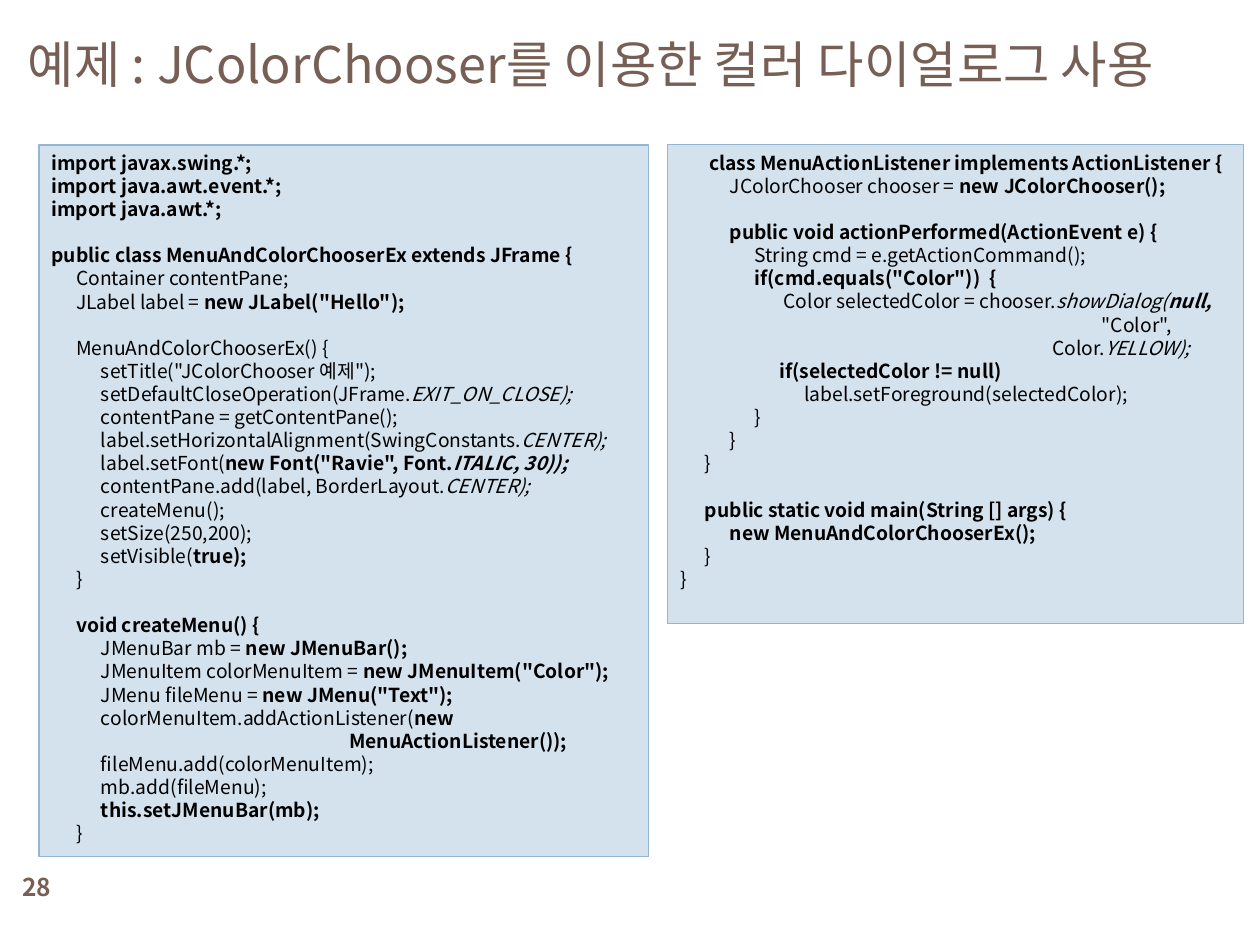
"""Build a slide with a two-panel Java colour chooser example."""
from lxml.etree import SubElement
from pptx import Presentation
from pptx.dml.color import RGBColor
from pptx.enum.shapes import MSO_SHAPE
from pptx.enum.text import MSO_ANCHOR, PP_ALIGN
from pptx.oxml.ns import qn
from pptx.util import Pt

FONT = "Noto Sans CJK KR"
HUES = {"title": "775F55", "code": "000000", "panel": "D4E2ED", "edge": "94B6D2"}
TAB = Pt(14.17)
BOLD, SLANT = "`", "~"

LEFT = [
    (0, "`import javax.swing.*;"),
    (0, "`import java.awt.event.*;"),
    (0, "`import java.awt.*;"),
    (0, ""),
    (0, "`public class MenuAndColorChooserEx extends JFrame {"),
    (1, "Container contentPane;"),
    (1, 'JLabel label = `new JLabel("Hello");'),
    (0, ""),
    (1, "MenuAndColorChooserEx() {"),
    (2, 'setTitle("JColorChooser 예제");'),
    (2, "setDefaultCloseOperation(JFrame.~EXIT_ON_CLOSE);"),
    (2, "contentPane = getContentPane();"),
    (2, "label.setHorizontalAlignment(SwingConstants.~CENTER);"),
    (2, 'label.setFont(`new Font("Ravie", Font.~ITALIC, 30));'),
    (2, "contentPane.add(label, BorderLayout.~CENTER);"),
    (2, "createMenu();"),
    (2, "setSize(250,200);"),
    (2, "setVisible(`true);"),
    (1, "}"),
    (0, ""),
    (1, "`void createMenu() {"),
    (2, "JMenuBar mb = `new JMenuBar();"),
    (2, 'JMenuItem colorMenuItem = `new JMenuItem("Color");'),
    (2, 'JMenu fileMenu = `new JMenu("Text");'),
    (2, "colorMenuItem.addActionListener(`new"),
    (12, "`MenuActionListener());"),
    (2, "fileMenu.add(colorMenuItem);"),
    (2, "mb.add(fileMenu);"),
    (2, "`this.setJMenuBar(mb);"),
    (1, "}"),
]

RIGHT = [
    (1, "` class MenuActionListener implements ActionListener {"),
    (2, "JColorChooser chooser = `new JColorChooser();"),
    (0, ""),
    (2, "`public void actionPerformed(ActionEvent e) {"),
    (3, "String cmd = e.getActionCommand();"),
    (3, '`if(cmd.equals("Color"))  {'),
    (4, " Color selectedColor = chooser.~showDialog(`null,"),
    (17, '"Color",'),
    (15, "Color.~YELLOW);"),
    (4, "`if(selectedColor != null)"),
    (5, "label.setForeground(selectedColor);"),
    (3, "}"),
    (2, "}"),
    (1, "}"),
    (0, ""),
    (1, "`public static void main(String [] args) {"),
    (2, "`new MenuAndColorChooserEx();"),
    (1, "}"),
    (0, "}"),
]


def style(para, size, hue):
    """Set the font of a paragraph."""
    font = para.font
    font.name, font.size = FONT, Pt(size)
    font.color.rgb = RGBColor.from_string(HUES[hue])
    SubElement(font._element, qn("a:ea"), typeface=FONT)


def write(para, line):
    """Add runs, switching to bold or italic at each mark."""
    parts = line.replace(BOLD, "|" + BOLD).replace(SLANT, "|" + SLANT).split("|")
    bold = slant = False
    for part in filter(None, parts):
        bold = bold or part[0] == BOLD
        slant = slant or part[0] == SLANT
        run = para.add_run()
        run.text = part.lstrip(BOLD + SLANT)
        run.font.bold, run.font.italic = bold, slant


deck = Presentation()
deck.slide_width, deck.slide_height = Pt(720), Pt(540)
slide = deck.slides.add_slide(deck.slide_layouts[5])

title = slide.shapes.title
title.left, title.top, title.width, title.height = Pt(8.64), Pt(9.4), Pt(711.36), Pt(53.3)
title.text_frame.text = "예제 : JColorChooser를 이용한 컬러 다이얼로그 사용"
title.text_frame.vertical_anchor = MSO_ANCHOR.MIDDLE
head = title.text_frame.paragraphs[0]
head.alignment = PP_ALIGN.LEFT
style(head, 28.8, "title")

page = slide.shapes.add_textbox(Pt(0), Pt(491.8), Pt(41.8), Pt(30.2))
page.text_frame.word_wrap = True
page.text_frame.vertical_anchor = MSO_ANCHOR.MIDDLE
num = page.text_frame.paragraphs[0]
num.text = "28"
num.alignment = PP_ALIGN.CENTER
style(num, 14, "title")
num.font.bold = True

for code, left, width, height in ((LEFT, 22.3, 348.5, 406.8), (RIGHT, 381.6, 329, 273.6)):
    panel = slide.shapes.add_shape(MSO_SHAPE.RECTANGLE, Pt(left), Pt(82.8), Pt(width), Pt(height))
    panel.shadow.inherit = False
    panel.fill.solid()
    panel.fill.fore_color.rgb = RGBColor.from_string(HUES["panel"])
    panel.line.color.rgb = RGBColor.from_string(HUES["edge"])
    panel.line.width = Pt(0.75)
    frame = panel.text_frame
    frame.word_wrap = True
    frame.vertical_anchor = MSO_ANCHOR.TOP
    for row, (depth, line) in enumerate(code):
        para = frame.add_paragraph() if row else frame.paragraphs[0]
        para.alignment = PP_ALIGN.LEFT
        para.line_spacing = Pt(13.2)
        para._p.get_or_add_pPr().set("defTabSz", str(TAB))
        style(para, 11, "code")
        if line:
            mark = line[0] if line[0] in BOLD + SLANT else ""
            write(para, mark + "\t" * depth + line[len(mark):])

deck.save("out.pptx")
